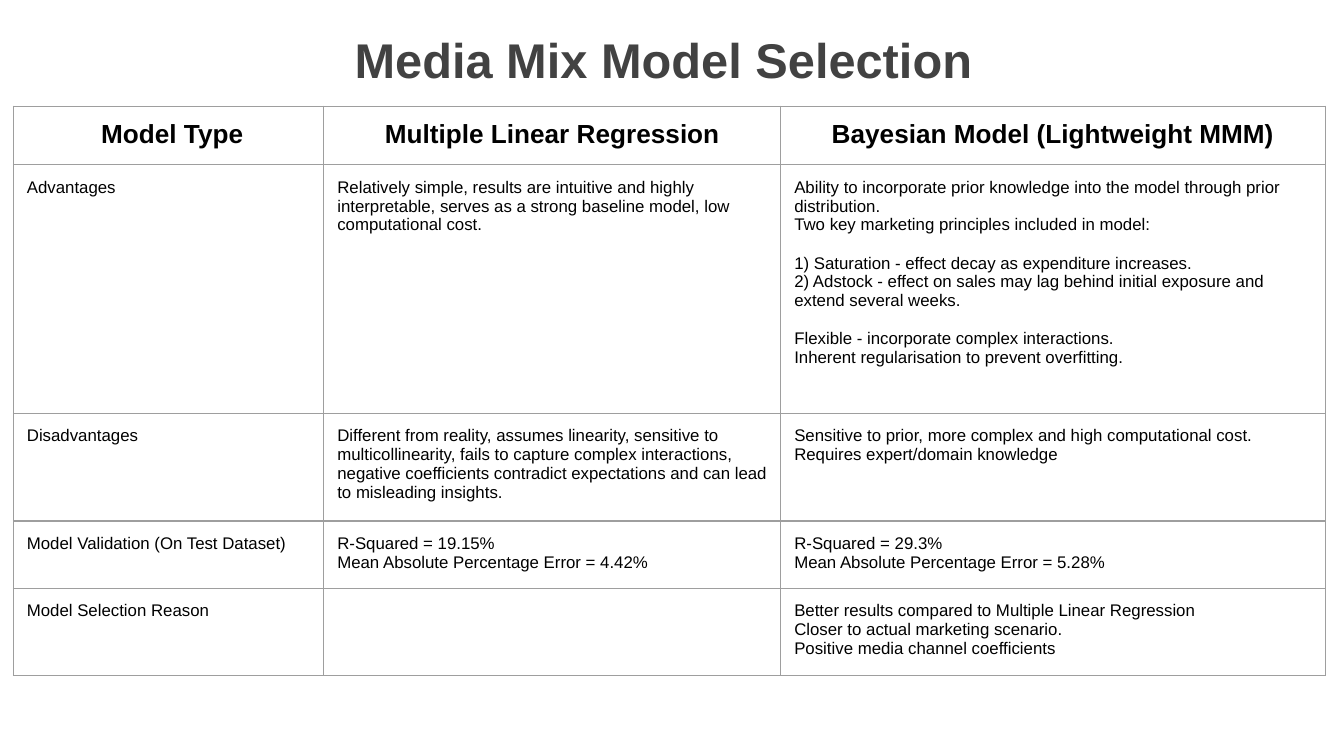
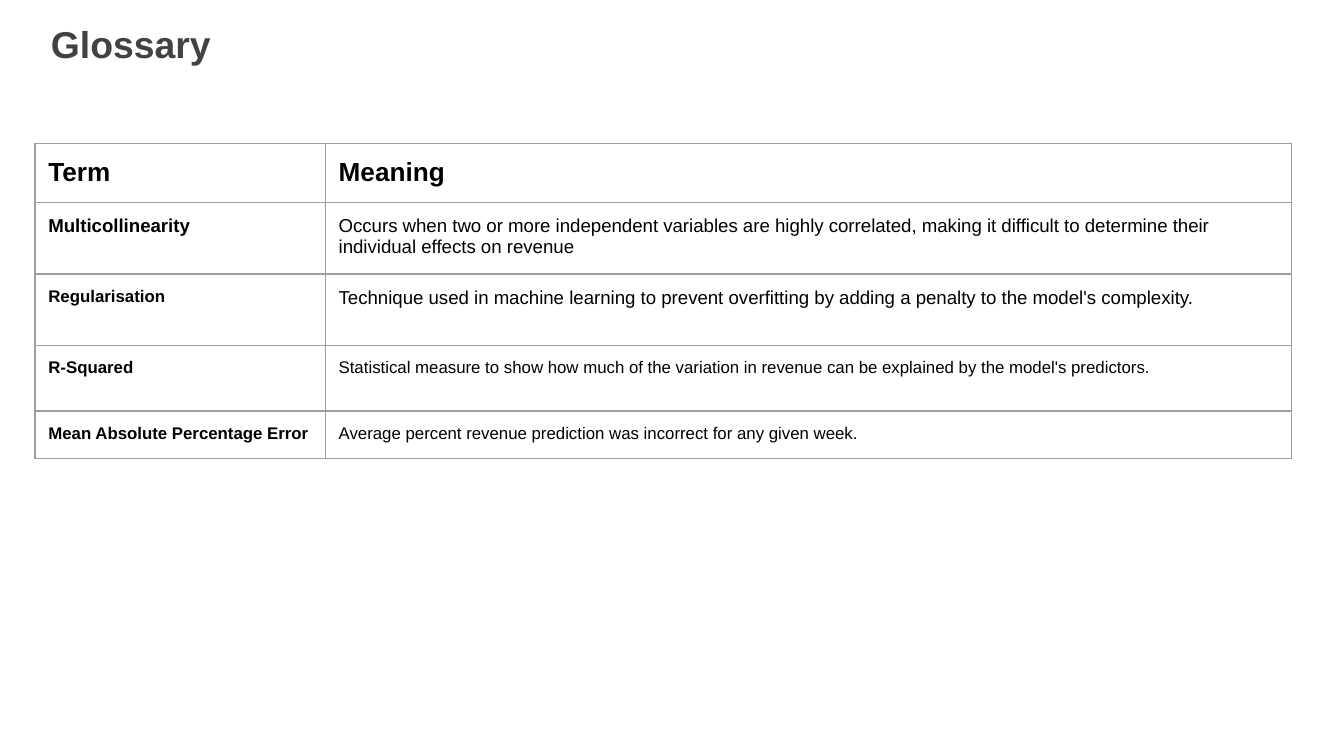
from lxml.etree import SubElement
from pptx import Presentation
from pptx.dml.color import RGBColor
from pptx.enum.text import MSO_ANCHOR as Anchor, PP_ALIGN as Align
from pptx.oxml.ns import qn
from pptx.util import Inches, Pt

COLORS = {"title": "424242", "text": "000000", "border": "9E9E9E"}
FONT = "Arial"
PAGE_WIDTH = Inches(10)
PAGE_HEIGHT = PAGE_WIDTH * 9 // 16
INSET = Inches(0.1)
BORDER_WIDTH = Pt(0.75)
TABLE_FRAME = Inches(3.28)  # nominal side; rows and columns set the drawn size
HEADER_SIZE = 14
BODY_SIZE = 9
GAP = 10.35  # height of one body line, in points

# A cell is a list of blocks; a block is a list of paragraphs, set apart by GAP.
MODELS = {
    "title": "Media Mix Model Selection",
    "title_box": (0.28, 0.12, 9.32, 0.56),
    "title_size": 26.1,
    "align": Align.CENTER,
    "corner": (0.1, 0.79),
    "columns": (2.31, 3.4, 4.05),
    "row_heights": (0.42, 1.85, 0.74, 0.46, 0.61),
    "bold_terms": False,
    "header": (" Model Type", "Multiple Linear Regression", "Bayesian Model (Lightweight MMM)"),
    "rows": [
        ([["Advantages"]],
         [["Relatively simple, results are intuitive and highly interpretable, "
           "serves as a strong baseline model, low computational cost."]],
         [["Ability to incorporate prior knowledge into the model through prior distribution.",
           "Two key marketing principles included in model:"],
          ["1) Saturation - effect decay as expenditure increases.",
           "2) Adstock - effect on sales may lag behind initial exposure and extend several weeks."],
          ["Flexible - incorporate complex interactions.",
           "Inherent regularisation to prevent overfitting."]]),
        ([["Disadvantages"]],
         [["Different from reality, assumes linearity, sensitive to multicollinearity, "
           "fails to capture complex interactions, negative coefficients contradict "
           "expectations and can lead to misleading insights."]],
         [["Sensitive to prior, more complex and high computational cost. "
           "Requires expert/domain knowledge"]]),
        ([["Model Validation (On Test Dataset)"]],
         [["R-Squared = 19.15%", "Mean Absolute Percentage Error = 4.42%"]],
         [["R-Squared = 29.3%", "Mean Absolute Percentage Error = 5.28%"]]),
        ([["Model Selection Reason"]],
         [],
         [["Better results compared to Multiple Linear Regression",
           "Closer to actual marketing scenario.",
           "Positive media channel coefficients"]]),
    ],
    "sizes": {},
}

GLOSSARY = {
    "title": "Glossary",
    "title_box": (0.28, 0.06, 9.32, 0.84),
    "title_size": 20,
    "align": Align.LEFT,
    "corner": (0.26, 1.07),
    "columns": (2.16, 7.19),
    "row_heights": (0.43, 0.53, 0.53, 0.49, 0.35),
    "bold_terms": True,
    "header": ("Term", "Meaning"),
    "rows": [
        ([["Multicollinearity"]],
         [["Occurs when two or more independent variables are highly correlated, "
           "making it difficult to determine their individual effects on revenue"]]),
        ([["Regularisation"]],
         [["Technique used in machine learning to prevent overfitting by adding "
           "a penalty to the model's complexity."]]),
        ([["R-Squared"]],
         [["Statistical measure to show how much of the variation in revenue "
           "can be explained by the model's predictors."]]),
        ([["Mean Absolute Percentage Error"]],
         [["Average percent revenue prediction was incorrect for any given week."]]),
    ],
    # (row, column) of the cells that differ from BODY_SIZE
    "sizes": {(1, 0): 10, (1, 1): 10, (2, 1): 10},
}


def write(frame, blocks, size=BODY_SIZE, bold=False, color="text", align=Align.LEFT):
    lines = [(line, GAP if index and not place else 0)
             for index, block in enumerate(blocks)
             for place, line in enumerate(block)]
    for number, (line, gap) in enumerate(lines):
        para = frame.add_paragraph() if number else frame.paragraphs[0]
        para.alignment = align
        para.space_before = Pt(gap)
        span = para.add_run()
        span.text = line
        span.font.name = FONT
        span.font.size = Pt(size)
        span.font.bold = bold
        span.font.color.rgb = RGBColor.from_string(COLORS[color])


def style_cell(cell):
    """Clear the fill, set the insets and draw a border on all four sides."""
    cell.margin_left = cell.margin_right = cell.margin_top = cell.margin_bottom = INSET
    cell.vertical_anchor = Anchor.TOP
    cell.fill.background()
    properties = cell._tc.get_or_add_tcPr()
    for index, side in enumerate(("lnL", "lnR", "lnT", "lnB")):
        line = SubElement(properties, qn(f"a:{side}"), w=str(BORDER_WIDTH))
        fill = SubElement(line, qn("a:solidFill"))
        SubElement(fill, qn("a:srgbClr"), val=COLORS["border"])
        properties.insert(index, line)


def add_title(page, content):
    box = page.shapes.add_textbox(*map(Inches, content["title_box"]))
    frame = box.text_frame
    frame.word_wrap = True
    frame.vertical_anchor = Anchor.TOP
    frame.margin_left = frame.margin_right = frame.margin_top = frame.margin_bottom = INSET
    write(frame, [[content["title"]]], size=content["title_size"], bold=True,
          color="title", align=content["align"])


def add_grid(page, content):
    widths, heights = content["columns"], content["row_heights"]
    left, top = map(Inches, content["corner"])
    holder = page.shapes.add_table(len(heights), len(widths), left, top, TABLE_FRAME, TABLE_FRAME)
    table = holder.table
    table.first_row = table.horz_banding = False
    for column, width in zip(table.columns, widths):
        column.width = Inches(width)
    for row, height in zip(table.rows, heights):
        row.height = Inches(height)
    holder.width = holder.height = TABLE_FRAME

    for c, heading in enumerate(content["header"]):
        cell = table.cell(0, c)
        style_cell(cell)
        write(cell.text_frame, [[heading]], size=HEADER_SIZE, bold=True, align=content["align"])
    for r, row in enumerate(content["rows"], start=1):
        for c, blocks in enumerate(row):
            cell = table.cell(r, c)
            style_cell(cell)
            write(cell.text_frame, blocks, size=content["sizes"].get((r, c), BODY_SIZE),
                  bold=content["bold_terms"] and c == 0)


def main():
    deck = Presentation()
    deck.slide_width, deck.slide_height = PAGE_WIDTH, PAGE_HEIGHT
    for content in (MODELS, GLOSSARY):
        page = deck.slides.add_slide(deck.slide_layouts[6])
        add_title(page, content)
        add_grid(page, content)
    deck.save("out.pptx")


if __name__ == "__main__":
    main()
